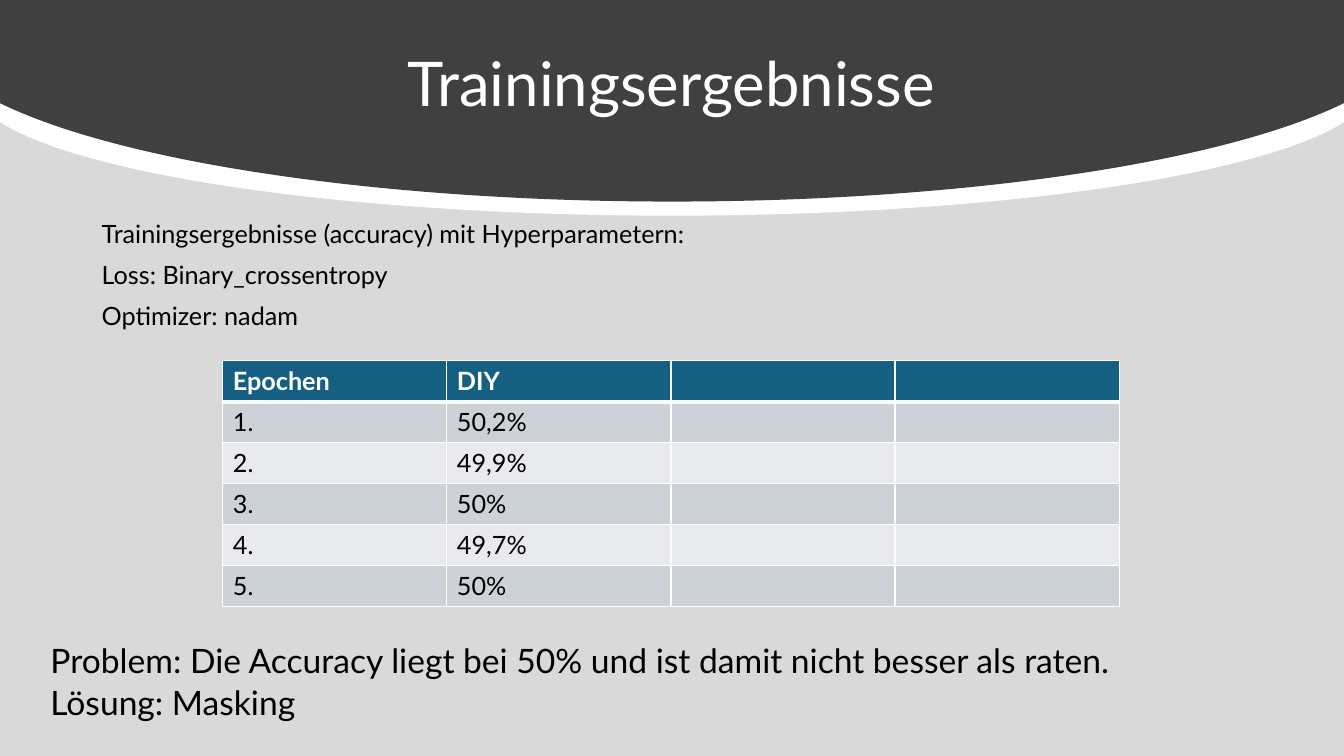
"""Build the slide with the training results per epoch."""
import pptx
import pptx.dml.color
import pptx.enum.shapes
import pptx.enum.text
import pptx.oxml
import pptx.oxml.ns
import pptx.util

Inches = pptx.util.Inches
Pt = pptx.util.Pt
ALIGN = pptx.enum.text.PP_ALIGN
ANCHOR = pptx.enum.text.MSO_ANCHOR
FIT = pptx.enum.text.MSO_AUTO_SIZE

COLORS = {
    "background": "D9D9D9",
    "arc": "404040",
    "white": "FFFFFF",
    "black": "000000",
    "header": "156082",
    "odd": "CCD2D8",
    "even": "E8EAED",
}


def rgb(name):
    """Return the named colour."""
    return pptx.dml.color.RGBColor.from_string(COLORS[name])


def write(frame, lines, size, color, bold=False, **layout):
    """Write one paragraph per line into a text frame."""
    font_format = {"name": "Lato", "size": Pt(size), "bold": bold}
    for index, line in enumerate(lines):
        para = frame.paragraphs[0] if index == 0 else frame.add_paragraph()
        for key, value in layout.items():
            setattr(para, key, value)
        span = para.add_run()
        span.text = line
        for key, value in font_format.items():
            setattr(span.font, key, value)
        span.font.color.rgb = rgb(color)


deck = pptx.Presentation()
deck.slide_width = Inches(13.33)
deck.slide_height = Inches(7.5)
page = deck.slides.add_slide(deck.slide_layouts[1])
page.background.fill.solid()
page.background.fill.fore_color.rgb = rgb("background")
title, body = page.placeholders

ellipses = [
    ("white", (-0.28, -0.44, 13.89, 2.58)),
    ("arc", (-0.7, -1.4, 14.73, 3.4)),
]
for color, place in ellipses:
    ellipse = page.shapes.add_shape(
        pptx.enum.shapes.MSO_SHAPE.OVAL, *map(Inches, place))
    ellipse.shadow.inherit = False
    ellipse.fill.solid()
    ellipse.fill.fore_color.rgb = rgb(color)
    ellipse.line.fill.background()
    title.element.addprevious(ellipse.element)

settings = page.shapes.add_textbox(0, 0, 0, 0)
body.element.addprevious(settings.element)

text_places = [
    (title, (0.91, 0.13, 11.5, 1.45),
     {"vertical_anchor": ANCHOR.MIDDLE, "auto_size": FIT.NONE}),
    (settings, (0.91, 2.15, 6.01, 2.29),
     {"word_wrap": False, "auto_size": FIT.SHAPE_TO_FIT_TEXT}),
    (body, (0.4, 6.41, 12.21, 0.95),
     {"vertical_anchor": ANCHOR.TOP, "auto_size": FIT.NONE}),
]
for box, place, frame_format in text_places:
    for side, value in zip(("left", "top", "width", "height"), place):
        setattr(box, side, Inches(value))
    for key, value in frame_format.items():
        setattr(box.text_frame, key, value)

write(title.text_frame, ["Trainingsergebnisse"], 44, "white",
      alignment=ALIGN.CENTER, line_spacing=0.9)
write(settings.text_frame,
      ["Trainingsergebnisse (accuracy) mit Hyperparametern:",
       "Loss: Binary_crossentropy",
       "Optimizer: nadam"],
      18, "black", line_spacing=0.9, space_before=Pt(10))
write(body.text_frame,
      ["Problem: Die Accuracy liegt bei 50% und ist damit nicht besser als raten.",
       "Lösung: Masking"],
      24, "black", line_spacing=0.7, space_before=Pt(10))
for para in body.text_frame.paragraphs:
    properties = para._p.get_or_add_pPr()
    properties.set("marL", "0")
    properties.set("indent", "0")
    properties.append(pptx.oxml.parse_xml(
        f"<a:buNone {pptx.oxml.ns.nsdecls('a')}/>"))

accuracies = ["50,2%", "49,9%", "50%", "49,7%", "50%"]
rows = [("Epochen", "DIY", "", "")]
rows += [(f"{epoch}.", value, "", "") for epoch, value in enumerate(accuracies, 1)]
table = page.shapes.add_table(
    len(rows), len(rows[0]),
    Inches(2.21), Inches(3.58), Inches(8.89), Inches(2.43)).table

for row_index, row in enumerate(rows):
    is_header = row_index == 0
    fill = "header" if is_header else ("even", "odd")[row_index % 2]
    widths = {"lnL": 1, "lnR": 1, "lnT": 3 if row_index == 1 else 1,
              "lnB": 3 if is_header else 1}
    for column_index, text in enumerate(row):
        cell = table.cell(row_index, column_index)
        cell.fill.solid()
        cell.fill.fore_color.rgb = rgb(fill)
        if text:
            write(cell.text_frame, [text], 18,
                  "white" if is_header else "black", bold=is_header)
        cell_properties = cell._tc.get_or_add_tcPr()
        for position, (edge, width) in enumerate(widths.items()):
            cell_properties.insert(position, pptx.oxml.parse_xml(
                f'<a:{edge} {pptx.oxml.ns.nsdecls("a")} w="{Pt(width)}">'
                f'<a:solidFill><a:srgbClr val="{COLORS["white"]}"/></a:solidFill>'
                f'</a:{edge}>'))

deck.save("out.pptx")
